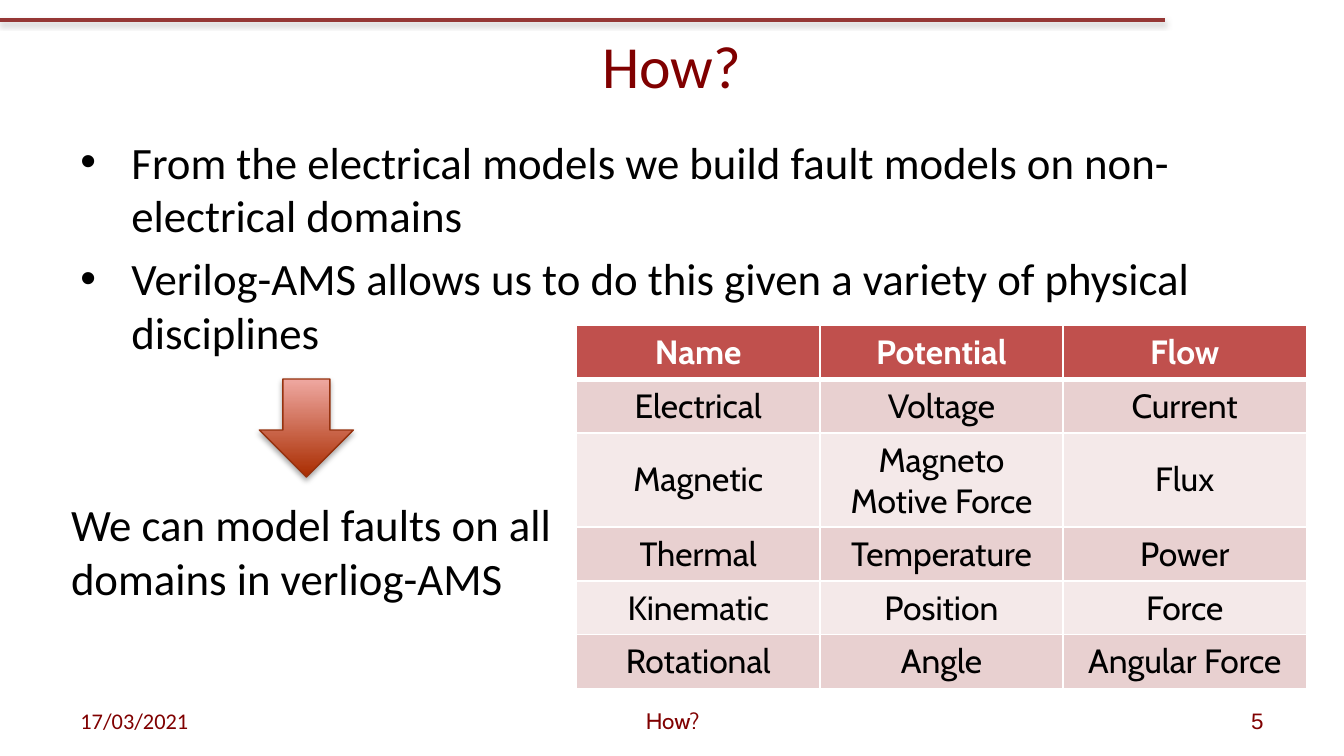
from lxml import etree
from pptx import Presentation
from pptx.dml.color import RGBColor
from pptx.enum.shapes import MSO_CONNECTOR, MSO_SHAPE
from pptx.enum.text import MSO_ANCHOR, PP_ALIGN
from pptx.oxml import parse_xml
from pptx.oxml.ns import nsdecls, qn
from pptx.util import Inches, Pt

LEFT, CENTER, RIGHT = PP_ALIGN.LEFT, PP_ALIGN.CENTER, PP_ALIGN.RIGHT
TOP, MIDDLE = MSO_ANCHOR.TOP, MSO_ANCHOR.MIDDLE
MAROON = RGBColor(0x80, 0x00, 0x00)
RULE_RED = RGBColor(0x95, 0x37, 0x35)
BLACK = RGBColor(0x00, 0x00, 0x00)
WHITE = RGBColor(0xFF, 0xFF, 0xFF)
HEADER_RED = RGBColor(0xC0, 0x50, 0x4D)
BANDS = [RGBColor(0xE8, 0xD0, 0xD0), RGBColor(0xF4, 0xE9, 0xE9)]
ARROW_DARK = RGBColor(0xA9, 0x2C, 0x00)
ARROW_LIGHT = RGBColor(0xEF, 0xA8, 0xA1)
ARROW_LINE = RGBColor(0x96, 0x32, 0x0F)


def write_text(frame, text, font, size, color, align=LEFT, bold=False):
    """Fill a text frame, one paragraph per line of text, in one format."""
    frame.word_wrap = True
    frame.text = text
    for para in frame.paragraphs:
        para.alignment = align
        for span in para.runs:
            span.font.name = font
            span.font.size = Pt(size)
            span.font.bold = bold
            span.font.color.rgb = color


def add_shadow(shape, color, opacity, distance):
    """Cast a soft shadow straight down; opacity in percent, distance in points."""
    shape._element.spPr.append(parse_xml(
        f'<a:effectLst {nsdecls("a")}>'
        f'<a:outerShdw blurRad="{Pt(3.1)}" dist="{Pt(distance)}" dir="5400000" rotWithShape="0">'
        f'<a:srgbClr val="{color}"><a:alpha val="{opacity * 1000}"/></a:srgbClr>'
        '</a:outerShdw></a:effectLst>'))


deck = Presentation()
deck.slide_width = Inches(10)
deck.slide_height = deck.slide_width * 9 // 16
slide = deck.slides.add_slide(deck.slide_layouts[5])
shapes = slide.shapes

# Top rule and title
rule = shapes.add_connector(MSO_CONNECTOR.STRAIGHT, 0, Inches(0.15), Inches(8.67), Inches(0.15))
rule.line.color.rgb = RULE_RED
rule.line.width = Pt(2)
add_shadow(rule, "808080", 38, 1.6)

title = shapes.title
title.left, title.top, title.width, title.height = Inches(0.5), Inches(0.01), Inches(9), Inches(0.94)
title.text_frame.vertical_anchor = MIDDLE
write_text(title.text_frame, "How?", "Calibri", 32, MAROON, CENTER)

# Bulleted points
points = [
    "From the electrical models we build fault models on non-electrical domains",
    "Verilog-AMS allows us to do this given a variety of physical disciplines",
]
body = shapes.add_textbox(Inches(0.5), Inches(0.95), Inches(9), Inches(4.08))
write_text(body.text_frame, "\n".join(points), "Calibri", 24, BLACK)
for para in body.text_frame.paragraphs:
    para.space_before = Pt(4.8)
    properties = para._p.get_or_add_pPr()
    properties.set("marL", str(Inches(0.38)))
    properties.set("indent", str(-Inches(0.38)))
    etree.SubElement(properties, qn("a:buFont")).set("typeface", "Arial")
    etree.SubElement(properties, qn("a:buChar")).set("char", "•")

# Footer
footers = [
    (0.5, 2.33, "17/03/2021", "Calibri", LEFT),
    (3.42, 3.17, "How?", "Cabin", CENTER),
    (7.17, 2.33, "5", "Arial", RIGHT),
]
for left, width, text, font, align in footers:
    footer = shapes.add_textbox(Inches(left), Inches(5.21), Inches(width), Inches(0.3))
    footer.text_frame.vertical_anchor = MIDDLE
    write_text(footer.text_frame, text, font, 12, MAROON, align)

# Table of disciplines with white borders, thicker below the header
disciplines = [
    ("Name", "Potential", "Flow"),
    ("Electrical", "Voltage", "Current"),
    ("Magnetic", "Magneto Motive Force", "Flux"),
    ("Thermal", "Temperature", "Power"),
    ("Kinematic", "Position", "Force"),
    ("Rotational", "Angle", "Angular Force"),
]
TALL_ROW = 2
table_frame = shapes.add_table(len(disciplines), 3, Inches(4.29), Inches(2.42),
                               Inches(5.43), Inches(2.7))
table = table_frame.table
for row, names in enumerate(disciplines):
    header = row == 0
    table.rows[row].height = Inches(0.64 if row == TALL_ROW else 0.37)
    for column, name in enumerate(names):
        cell = table.cell(row, column)
        borders = {"lnL": 1, "lnR": 1, "lnT": 3 if row == 1 else 1, "lnB": 3 if header else 1}
        for side, width in borders.items():
            cell._tc.get_or_add_tcPr().append(parse_xml(
                f'<a:{side} {nsdecls("a")} w="{Pt(width)}"><a:solidFill>'
                f'<a:srgbClr val="{WHITE}"/></a:solidFill></a:{side}>'))
        cell.fill.solid()
        cell.fill.fore_color.rgb = HEADER_RED if header else BANDS[(row - 1) % 2]
        cell.vertical_anchor = MIDDLE if row == TALL_ROW else TOP
        write_text(cell.text_frame, name, "Cabin", 18, WHITE if header else BLACK, CENTER, header)
table_frame.height = Inches(2.7)

# Arrow to the conclusion
arrow = shapes.add_shape(MSO_SHAPE.DOWN_ARROW, Inches(1.93), Inches(2.82), Inches(0.7), Inches(0.73))
arrow.fill.gradient()
arrow.fill.gradient_angle = 90
for stop, color in zip(arrow.fill.gradient_stops, (ARROW_DARK, ARROW_LIGHT)):
    stop.color.rgb = color
arrow.line.color.rgb = ARROW_LINE
arrow.line.width = Pt(0.75)
add_shadow(arrow, "000000", 35, 1.8)

conclusion = shapes.add_textbox(Inches(0.43), Inches(3.65), Inches(3.79), Inches(0.91))
write_text(conclusion.text_frame, "We can model faults on all domains in verliog-AMS",
           "Calibri", 24, BLACK)

deck.save("out.pptx")
